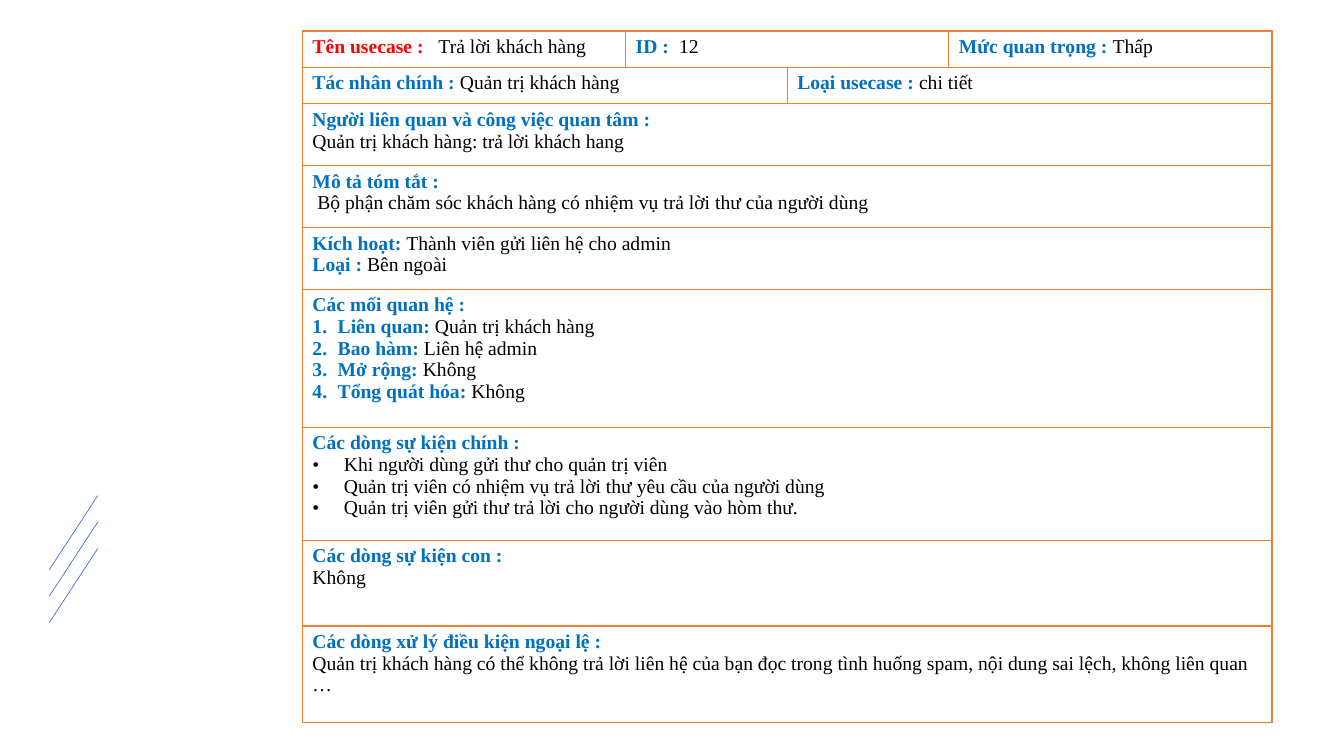
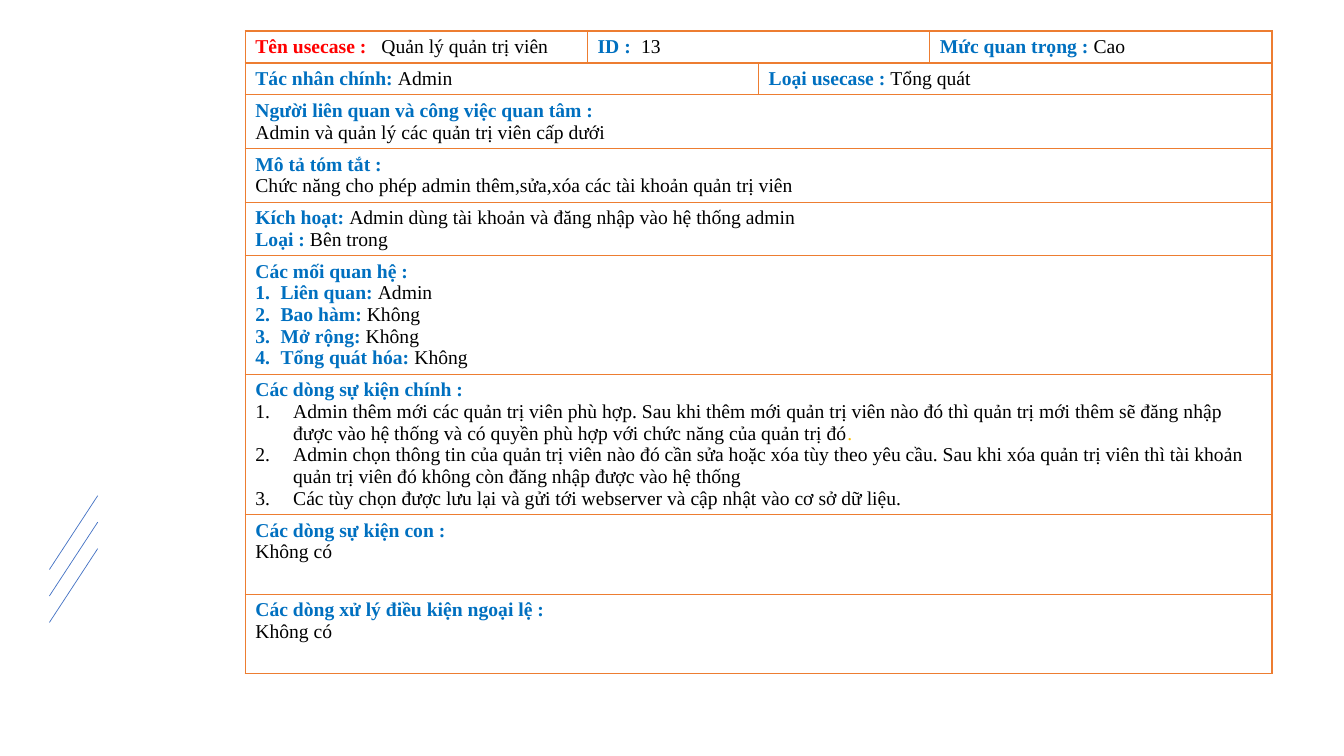
from pptx import Presentation
from pptx.dml.color import RGBColor
from pptx.enum.shapes import MSO_CONNECTOR
from pptx.oxml.ns import qn
from pptx.util import Pt
from lxml.etree import SubElement

COLORS = {"name": "FF0000", "label": "0070C0", "text": "000000",
          "accent": "FFC000", "border": "ED7D31", "stripe": "4472C4"}
FONT = "Times New Roman"
SPANS = {1: [(0, 3)], 2: [(0, 1), (2, 3)], 3: [(0, 0), (1, 2), (3, 3)]}
RELATIONS = ["Liên quan: ", "Bao hàm: ", "Mở rộng: ", "Tổng quát hóa: "]
BULLETS = {"number": ("a:buAutoNum", {"type": "arabicPeriod"}),
           "dot": ("a:buChar", {"char": "•"})}

use_cases = [
    {
        "left": 216, "right": 908.6, "column_units": [2, 1, 1, 2],
        "heights": [26, 26, 44.2, 44.2, 44.2, 98.6, 80.6, 61.2, 69],
        "name": "Trả lời khách hàng", "id": "12", "priority": "Thấp",
        "actor": ("Tác nhân chính : ", "Quản trị khách hàng"), "type": "chi tiết",
        "interest": "Quản trị khách hàng: trả lời khách hang",
        "summary": " Bộ phận chăm sóc khách hàng có nhiệm vụ trả lời thư của người dùng",
        "trigger": "Thành viên gửi liên hệ cho admin", "origin": "Bên ngoài",
        "relations": ["Quản trị khách hàng", "Liên hệ admin", "Không", "Không"],
        "event_bullet": ("dot", 22.5),
        "events": [
            [("text", "Khi người dùng gửi thư cho quản trị viên")],
            [("text", "Quản trị viên có nhiệm vụ trả lời thư yêu cầu của người dùng")],
            [("text", "Quản trị viên gửi thư trả lời cho người dùng vào hòm thư.")],
        ],
        "sub_events": "Không",
        "exceptions": "Quản trị khách hàng có thể không trả lời liên hệ của bạn đọc trong tình huống spam, "
                      "nội dung sai lệch, không liên quan …",
    },
    {
        "left": 175.2, "right": 908.6, "column_units": [2, 1, 1, 2],
        "heights": [22.8, 22.8, 38.3, 38.3, 38.3, 84.8, 100.2, 56.8, 56.8],
        "name": "Quản lý quản trị viên", "id": "13", "priority": "Cao",
        "actor": ("Tác nhân chính: ", "Admin"), "type": "Tổng quát",
        "interest": "Admin và quản lý các quản trị viên cấp dưới",
        "summary": "Chức năng cho phép admin thêm,sửa,xóa các tài khoản quản trị viên",
        "trigger": "Admin dùng tài khoản và đăng nhập vào hệ thống admin", "origin": "Bên trong",
        "relations": ["Admin", "Không", "Không", "Không"],
        "event_bullet": ("number", 27),
        "events": [
            [("text", "Admin thêm mới các quản trị viên phù hợp. Sau khi thêm mới quản trị viên nào đó "
                      "thì quản trị mới thêm sẽ đăng nhập được vào hệ thống và có quyền phù hợp với "
                      "chức năng của quản trị đó"), ("accent", ".")],
            [("text", "Admin chọn thông tin của quản trị viên nào đó cần sửa hoặc xóa tùy theo yêu cầu. "
                      "Sau khi xóa quản trị viên thì tài khoản quản trị viên đó không còn đăng nhập "
                      "được vào hệ thống")],
            [("text", "Các tùy chọn được lưu lại và gửi tới webserver và cập nhật vào cơ sở dữ liệu.")],
        ],
        "sub_events": "Không có",
        "exceptions": "Không có",
    },
]


def write_paragraph(paragraph, runs, bullet=None, indent=0, tab=0):
    properties = paragraph._p.get_or_add_pPr()
    if bullet:
        properties.set("marL", str(Pt(indent)))
        properties.set("indent", str(-Pt(indent)))
        tag, attributes = BULLETS[bullet]
        SubElement(properties, qn("a:buFont"), typeface=FONT)
        SubElement(properties, qn(tag), attributes)
    if tab:
        tabs = SubElement(properties, qn("a:tabLst"))
        SubElement(tabs, qn("a:tab"), pos=str(Pt(tab)), algn="l")
    paragraph.font.name = FONT
    paragraph.font.size = Pt(14)
    for color, text in runs:
        run = paragraph.add_run()
        run.text = text
        run.font.bold = color in ("name", "label")
        run.font.color.rgb = RGBColor.from_string(COLORS[color])


def style_cell(cell):
    properties = cell._tc.get_or_add_tcPr()
    for side in ("a:lnL", "a:lnR", "a:lnT", "a:lnB"):
        line = SubElement(properties, qn(side), w=str(Pt(1)))
        fill = SubElement(line, qn("a:solidFill"))
        SubElement(fill, qn("a:srgbClr"), val=COLORS["border"])
    cell.fill.background()


presentation = Presentation()
presentation.slide_width = Pt(960)
presentation.slide_height = Pt(540)

for case in use_cases:
    slide = presentation.slides.add_slide(presentation.slide_layouts[6])

    for index in range(3):
        bottom = 406.8 + 18.9 * index
        stripe = slide.shapes.add_connector(
            MSO_CONNECTOR.STRAIGHT, Pt(35.3), Pt(bottom), Pt(69.8), Pt(bottom - 52.7))
        stripe.line.color.rgb = RGBColor.from_string(COLORS["stripe"])
        stripe.line.width = Pt(0.5)
        SubElement(stripe._element.spPr, qn("a:effectLst"))

    bullet, indent = case["event_bullet"]
    actor_label, actor = case["actor"]
    rows = [
        [[{"runs": [("name", "Tên usecase :\t"), ("text", case["name"])], "tab": 90}],
         [{"runs": [("label", "ID :\t"), ("text", case["id"])], "tab": 31}],
         [{"runs": [("label", "Mức quan trọng : "), ("text", case["priority"])]}]],
        [[{"runs": [("label", actor_label), ("text", actor)]}],
         [{"runs": [("label", "Loại usecase : "), ("text", case["type"])]}]],
        [[{"runs": [("label", "Người liên quan và công việc quan tâm :")]},
          {"runs": [("text", case["interest"])]}]],
        [[{"runs": [("label", "Mô tả tóm tắt :")]},
          {"runs": [("text", case["summary"])]}]],
        [[{"runs": [("label", "Kích hoạt: "), ("text", case["trigger"])]},
          {"runs": [("label", "Loại : "), ("text", case["origin"])]}]],
        [[{"runs": [("label", "Các mối quan hệ :")]}]
         + [{"runs": [("label", label), ("text", value)], "bullet": "number", "indent": 18}
            for label, value in zip(RELATIONS, case["relations"])]],
        [[{"runs": [("label", "Các dòng sự kiện chính :")]}]
         + [{"runs": runs, "bullet": bullet, "indent": indent} for runs in case["events"]]],
        [[{"runs": [("label", "Các dòng sự kiện con :")]},
          {"runs": [("text", case["sub_events"])]}]],
        [[{"runs": [("label", "Các dòng xử lý điều kiện ngoại lệ :")]},
          {"runs": [("text", case["exceptions"])]}]],
    ]

    width = case["right"] - case["left"]
    units = case["column_units"]
    table = slide.shapes.add_table(
        len(rows), len(units), Pt(case["left"]), Pt(22.2), Pt(width), Pt(sum(case["heights"]))).table
    table.first_row = False
    table.horz_banding = False
    for column, unit in zip(table.columns, units):
        column.width = Pt(width * unit / sum(units))
    for row, height in zip(table.rows, case["heights"]):
        row.height = Pt(height)
    for cell in table.iter_cells():
        style_cell(cell)

    for row_index, cells in enumerate(rows):
        for (first, last), paragraphs in zip(SPANS[len(cells)], cells):
            cell = table.cell(row_index, first)
            if last > first:
                cell.merge(table.cell(row_index, last))
            text_frame = cell.text_frame
            for index, content in enumerate(paragraphs):
                paragraph = text_frame.add_paragraph() if index else text_frame.paragraphs[0]
                write_paragraph(paragraph, **content)

presentation.save("out.pptx")
